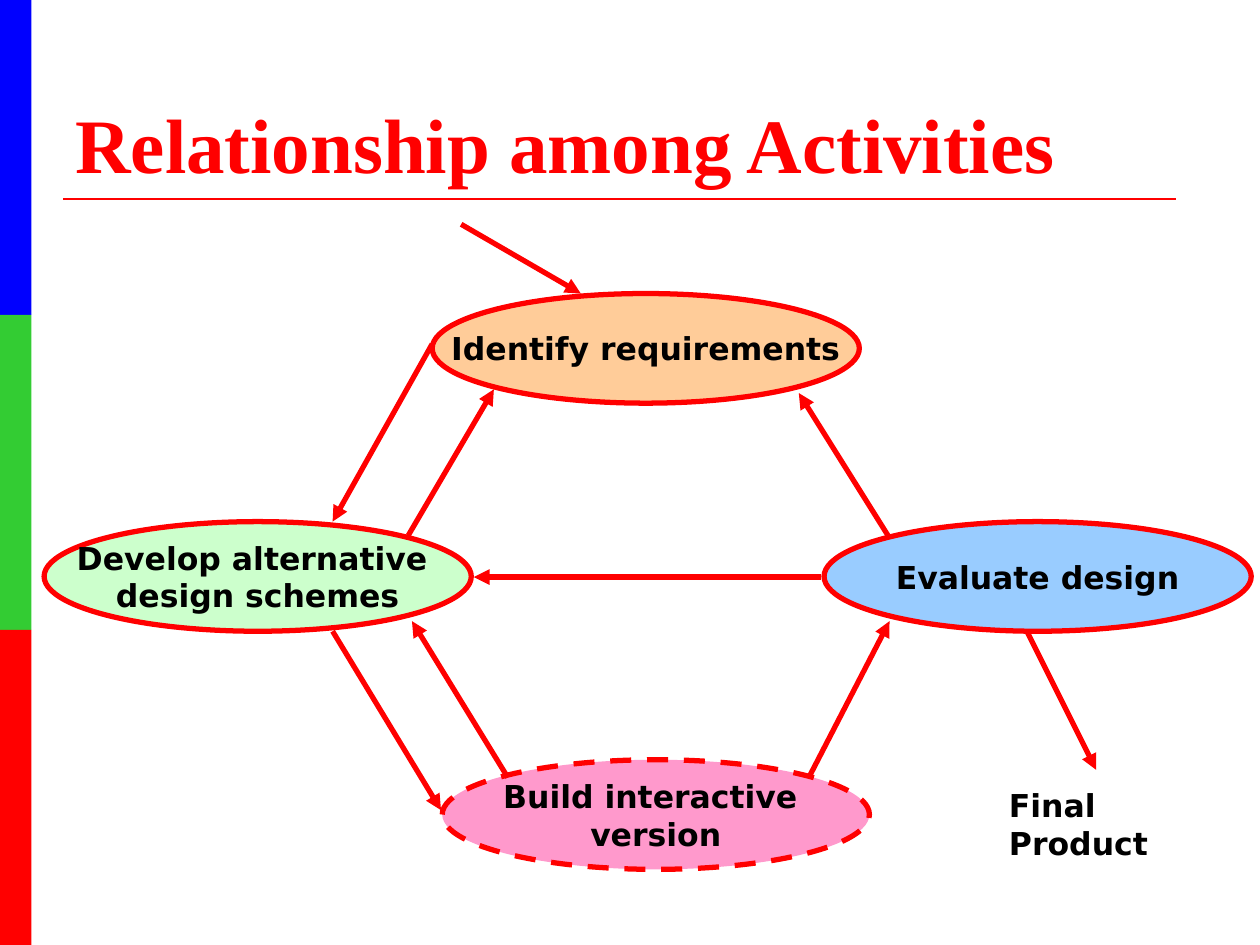
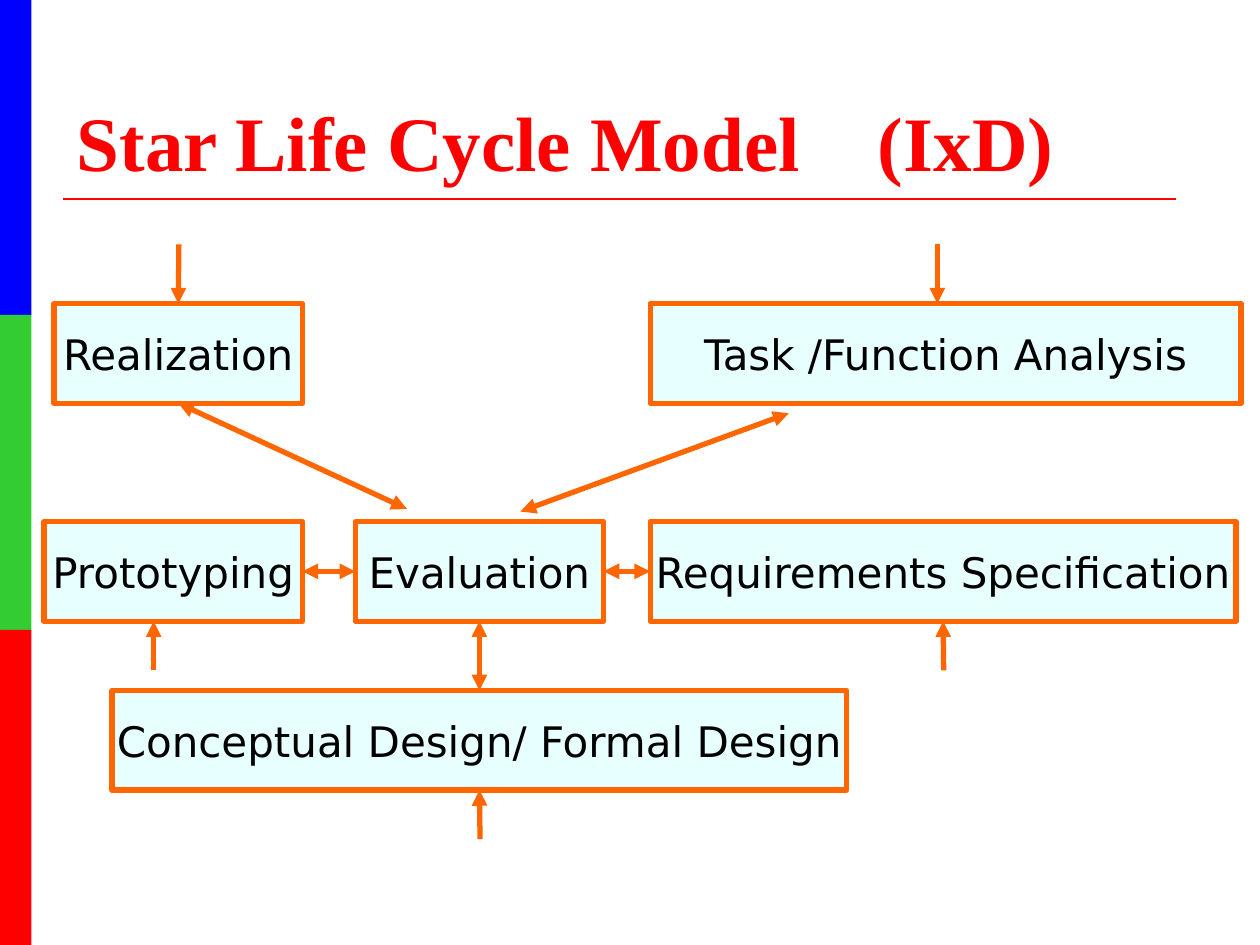
from lxml import etree
from pptx import Presentation
from pptx.dml.color import RGBColor
from pptx.enum.dml import MSO_LINE
from pptx.enum.shapes import MSO_CONNECTOR, MSO_SHAPE
from pptx.enum.text import MSO_ANCHOR, PP_ALIGN
from pptx.oxml.ns import qn
from pptx.util import Inches, Pt

RECT, OVAL = MSO_SHAPE.RECTANGLE, MSO_SHAPE.OVAL
STRAIGHT, DASH = MSO_CONNECTOR.STRAIGHT, MSO_LINE.DASH
LEFT, CENTER = PP_ALIGN.LEFT, PP_ALIGN.CENTER
TOP_SIDE, LEFT_SIDE, BOTTOM_SIDE, RIGHT_SIDE = range(4)


class Theme:
    red = RGBColor.from_string("FF0000")
    green = RGBColor.from_string("33CC33")
    blue = RGBColor.from_string("0000FF")
    black = RGBColor.from_string("000000")
    orange = RGBColor.from_string("FF6600")
    aqua = RGBColor.from_string("CCFFFF")
    peach = RGBColor.from_string("FFCC99")
    mint = RGBColor.from_string("CCFFCC")
    sky = RGBColor.from_string("99CCFF")
    pink = RGBColor.from_string("FF99CC")
    serif, sans = "Times New Roman", "DejaVu Sans"
    title, step, box = Pt(44), Pt(18), Pt(24)
    rule, line = Pt(1.5), Pt(3)


def write(shape, text, size, font=Theme.sans, color=Theme.black, bold=False,
          align=LEFT, anchor=MSO_ANCHOR.TOP, wrap=False):
    frame = shape.text_frame
    frame.text = text
    frame.word_wrap = wrap
    frame.vertical_anchor = anchor
    for para in frame.paragraphs:
        para.alignment = align
        for run in para.runs:
            run.font.size, run.font.name, run.font.bold = size, font, bold
            run.font.color.rgb = color


def link(slide, ends, color, width=Theme.line, heads=("tailEnd",)):
    wire = slide.shapes.add_connector(STRAIGHT, *[Inches(v) for v in ends])
    wire.line.color.rgb = color
    wire.line.width = width
    for head in heads:
        etree.SubElement(wire.line._get_or_add_ln(), qn("a:" + head), type="triangle")
    etree.SubElement(wire._element.spPr, qn("a:effectLst"))
    return wire


deck = Presentation()
deck.slide_width, deck.slide_height = Inches(10), Inches(7.5)

# Shared side bands, title and rule
slides = []
for title, left, top in [("Relationship among Activities", 0.5, 0.3),
                         ("Star Life Cycle Model\t(IxD)", 0.51, 0.28)]:
    slide = deck.slides.add_slide(deck.slide_layouts[6])
    for row, color in enumerate((Theme.blue, Theme.green, Theme.red)):
        band = slide.shapes.add_shape(RECT, 0, Inches(2.5 * row), Inches(0.25), Inches(2.5))
        band.shadow.inherit = False
        band.fill.solid()
        band.fill.fore_color.rgb = color
        band.line.fill.background()
    link(slide, (0.5, 1.58, 9.33, 1.58), Theme.red, Theme.rule, ())
    head = slide.shapes.add_textbox(Inches(left), Inches(top), Inches(9), Inches(1.25))
    write(head, title, Theme.title, Theme.serif, Theme.red, True,
          anchor=MSO_ANCHOR.BOTTOM, wrap=True)
    slides.append(slide)
cycle, star = slides

# Tab stop that sets the bracketed part of the second title apart
props = head.text_frame.paragraphs[0]._p.get_or_add_pPr()
tabs = etree.SubElement(props, qn("a:tabLst"))
etree.SubElement(tabs, qn("a:tab"), pos=str(Inches(6.36)), algn="l")

# Activities
for text, left, top, color in [
    ("Identify requirements", 3.43, 2.33, Theme.peach),
    ("Develop alternative \ndesign schemes", 0.35, 4.14, Theme.mint),
    ("Evaluate design", 6.54, 4.14, Theme.sky),
    ("Build interactive \nversion", 3.51, 6.03, Theme.pink),
]:
    step = cycle.shapes.add_shape(OVAL, Inches(left), Inches(top), Inches(3.39), Inches(0.87))
    step.shadow.inherit = False
    step.fill.solid()
    step.fill.fore_color.rgb = color
    step.line.color.rgb = Theme.red
    step.line.width = Theme.line
    if color == Theme.pink:
        step.line.dash_style = DASH
    write(step, text, Theme.step, bold=True, align=CENTER, anchor=MSO_ANCHOR.MIDDLE)

# Arrows between activities
for ends in [
    (6.52, 4.58, 3.76, 4.58),
    (8.15, 5.01, 8.7, 6.11),
    (6.42, 6.17, 7.06, 4.93),
    (4.03, 6.17, 3.27, 4.93),
    (2.64, 5.01, 3.5, 6.43),
    (7.06, 4.27, 6.34, 3.12),
    (3.24, 4.25, 3.92, 3.09),
    (3.66, 1.78, 4.61, 2.33),
    (3.43, 2.73, 2.64, 4.14),
]:
    link(cycle, ends, Theme.red)

# Outcome
goal = cycle.shapes.add_textbox(Inches(7.91), Inches(6.19), Inches(1.5), Inches(0.7))
write(goal, "Final Product", Theme.step, bold=True, wrap=True)

# Star boxes
boxes = {}
for text, left, top, width in [
    ("Evaluation", 2.82, 4.14, 1.97),
    ("Task /Function Analysis", 5.16, 2.41, 4.69),
    ("Conceptual Design/ Formal Design", 0.89, 5.48, 5.83),
    ("Prototyping", 0.35, 4.14, 2.05),
    ("Requirements Specification", 5.16, 4.14, 4.65),
    ("Realization", 0.43, 2.41, 1.97),
]:
    box = star.shapes.add_shape(RECT, Inches(left), Inches(top), Inches(width), Inches(0.79))
    box.shadow.inherit = False
    box.fill.solid()
    box.fill.fore_color.rgb = Theme.aqua
    tint = box._element.spPr.find(qn("a:solidFill"))[0]
    etree.SubElement(tint, qn("a:alpha"), val="45000")
    box.line.color.rgb = Theme.orange
    box.line.width = Theme.line
    write(box, text, Theme.box, align=CENTER, anchor=MSO_ANCHOR.MIDDLE)
    boxes[text.split()[0]] = box

# Entry arrows, joined where they meet the middle of a side
for ends, name, side in [
    ((1.42, 1.94, 1.42, 2.41), "Realization", TOP_SIDE),
    ((7.44, 1.94, 7.44, 2.41), None, None),
    ((1.22, 5.32, 1.22, 4.93), None, None),
    ((7.49, 5.32, 7.49, 4.93), "Requirements", BOTTOM_SIDE),
    ((3.81, 6.66, 3.81, 6.27), "Conceptual", BOTTOM_SIDE),
]:
    wire = link(star, ends, Theme.orange)
    if name:
        wire.end_connect(boxes[name], side)

# Two-way arrows around the evaluation
for ends, start, stop in [
    ((1.42, 3.2, 3.23, 4.04), ("Realization", BOTTOM_SIDE), None),
    ((6.26, 3.28, 4.13, 4.06), None, None),
    ((2.4, 4.54, 2.82, 4.54), ("Prototyping", RIGHT_SIDE), ("Evaluation", LEFT_SIDE)),
    ((4.79, 4.54, 5.16, 4.54), ("Evaluation", RIGHT_SIDE), ("Requirements", LEFT_SIDE)),
    ((3.81, 4.93, 3.81, 5.48), ("Evaluation", BOTTOM_SIDE), ("Conceptual", TOP_SIDE)),
]:
    wire = link(star, ends, Theme.orange, heads=("headEnd", "tailEnd"))
    if start:
        wire.begin_connect(boxes[start[0]], start[1])
    if stop:
        wire.end_connect(boxes[stop[0]], stop[1])

deck.save("out.pptx")
